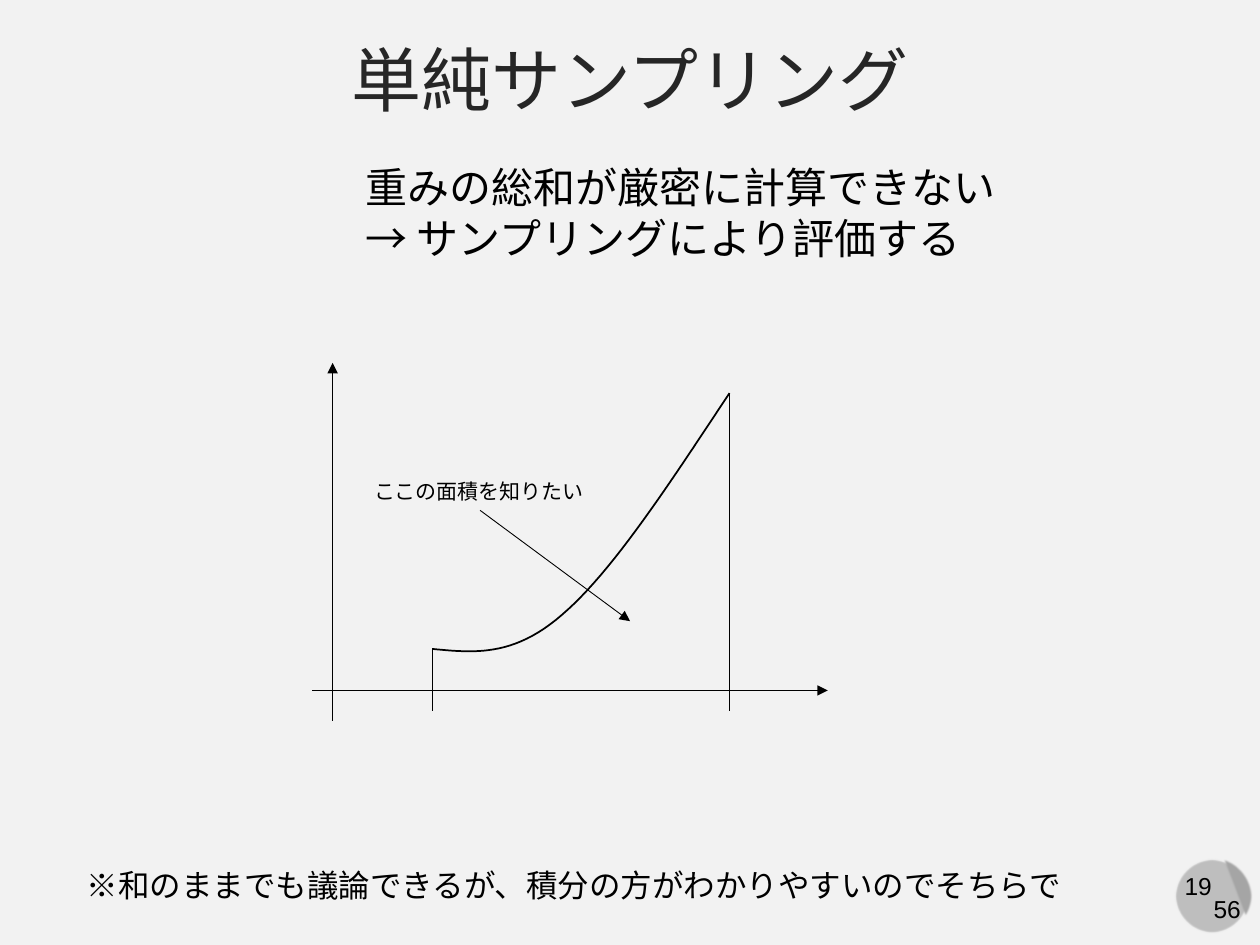
import pptx
import pptx.dml.color
import pptx.enum.shapes
import pptx.enum.text
import pptx.oxml
import pptx.oxml.ns
import pptx.util

PX = 9144  # 100 px to the inch
COLORS = {"background": "F2F2F2", "title": "262626", "ink": "000000",
          "badge": "BFBFBF", "badge_edge": "D9D9D9", "progress": "A6A6A6"}
RGB = {part: pptx.dml.color.RGBColor.from_string(code) for part, code in COLORS.items()}
ALIGN = pptx.enum.text.PP_ALIGN
SHAPE = pptx.enum.shapes.MSO_SHAPE
NS = pptx.oxml.ns.nsdecls("a")

presentation = pptx.Presentation()
presentation.slide_width, presentation.slide_height = 1000 * PX, 750 * PX
slide = presentation.slides.add_slide(presentation.slide_layouts[6])
slide.background.fill.solid()
slide.background.fill.fore_color.rgb = RGB["background"]
shapes = slide.shapes


def add_text(box, lines, size, color="ink", align=ALIGN.LEFT, wrap=False):
    text_box = shapes.add_textbox(*(length * PX for length in box))
    frame = text_box.text_frame
    frame.word_wrap = wrap
    frame.vertical_anchor = pptx.enum.text.MSO_ANCHOR.MIDDLE
    frame.text = "\n".join(lines)
    for paragraph in frame.paragraphs:
        paragraph.alignment = align
        paragraph.font.color.rgb = RGB[color]
        font_format = {"name": "Arial", "size": pptx.util.Pt(size)}
        for attribute, value in font_format.items():
            setattr(paragraph.font, attribute, value)
    return text_box


def add_line(start, end, arrow=False):
    line = shapes.add_connector(pptx.enum.shapes.MSO_CONNECTOR.STRAIGHT,
                                *(length * PX for length in start + end))
    line.line.color.rgb = RGB["ink"]
    line.line.width = pptx.util.Pt(0.5)
    if arrow:
        line.line._get_or_add_ln().append(
            pptx.oxml.parse_xml(f'<a:tailEnd {NS} type="triangle"/>'))
    line._element.spPr.append(pptx.oxml.parse_xml(f"<a:effectLst {NS}/>"))
    return line


# Page badge: a soft-edged disc with a segment showing progress
badge = shapes.add_shape(SHAPE.OVAL, 933 * PX, 682 * PX, 58 * PX, 58 * PX)
add_text((929, 686, 44, 34), ["19"], 14, align=ALIGN.CENTER)
progress = shapes.add_shape(SHAPE.CHORD, 932 * PX, 680 * PX, 62 * PX, 62 * PX)
progress.rotation = 255
progress.adjustments[0] = 16.2
progress.adjustments[1] = 84.85
add_text((953, 704, 42, 34), ["56"], 14, align=ALIGN.CENTER)
for part, color in ((badge, "badge"), (progress, "progress")):
    part.fill.solid()
    part.fill.fore_color.rgb = RGB[color]
    part.shadow.inherit = False
    effects = part._element.spPr.find(pptx.oxml.ns.qn("a:effectLst"))
    effects.append(pptx.oxml.parse_xml(f'<a:softEdge {NS} rad="12700"/>'))
badge.line.color.rgb = RGB["badge_edge"]
badge.line.width = pptx.util.Pt(1)
progress.line.fill.background()

add_text((0, 21, 1000, 82), ["単純サンプリング"], 40, "title", ALIGN.CENTER, wrap=True)
add_text((280, 123, 525, 91),
         ["重みの総和が厳密に計算できない", "→ サンプリングにより評価する"], 24)

# Axes
add_line((248, 548), (657, 548), arrow=True)
add_line((264, 572), (264, 288), arrow=True)

# Curve: two cubic Bézier pieces, sampled finely
curve_start, curve_end = (343, 515), (579, 312)
bezier_pieces = [
    (curve_start, (375, 518), (407, 522), (446, 488)),
    ((446, 488), (486, 454), (532, 383), curve_end),
]
STEPS = 24
curve_points = []
for controls in bezier_pieces:
    for step in range(1, STEPS + 1):
        t = step / STEPS
        weights = ((1 - t) ** 3, 3 * t * (1 - t) ** 2, 3 * t ** 2 * (1 - t), t ** 3)
        curve_points.append(tuple(
            round(PX * sum(w * point[axis] for w, point in zip(weights, controls)))
            for axis in (0, 1)))
builder = shapes.build_freeform(curve_start[0] * PX, curve_start[1] * PX)
builder.add_line_segments(curve_points, close=False)
curve = builder.convert_to_shape()
curve.fill.background()
curve.line.color.rgb = RGB["ink"]
curve.line.width = pptx.util.Pt(1)
curve.shadow.inherit = False

# Bounds of the integral
for curve_limit in (curve_end, curve_start):
    add_line((curve_limit[0], 564), curve_limit)

area_label = add_text((287, 375, 188, 30), ["ここの面積を知りたい"], 12)
area_pointer = add_line((382, 405), (500, 493), arrow=True)
area_pointer.begin_connect(area_label, 2)

add_text((59, 682, 803, 40),
         ["※和のままでも議論できるが、積分の方がわかりやすいのでそちらで"], 18)

presentation.save("out.pptx")
